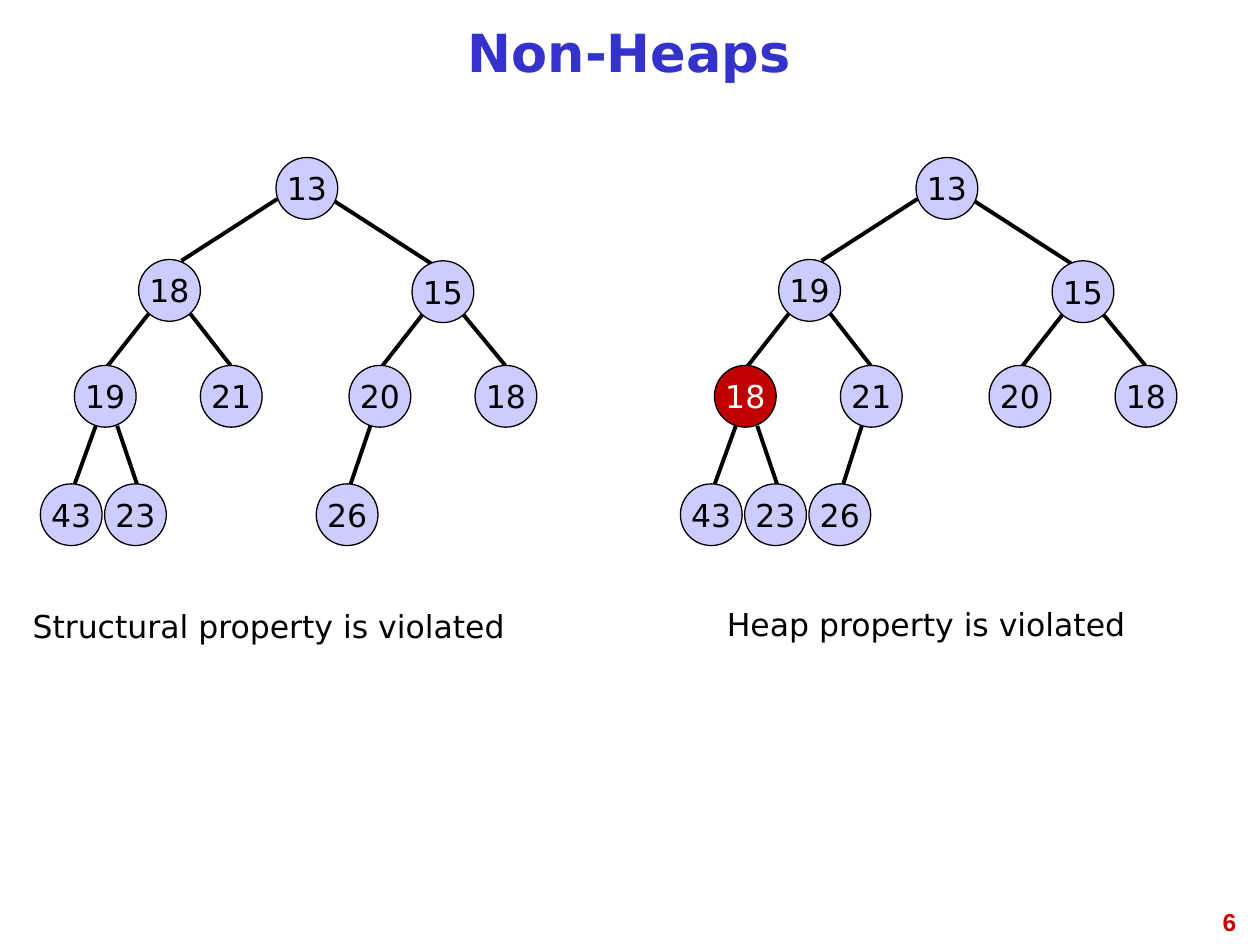
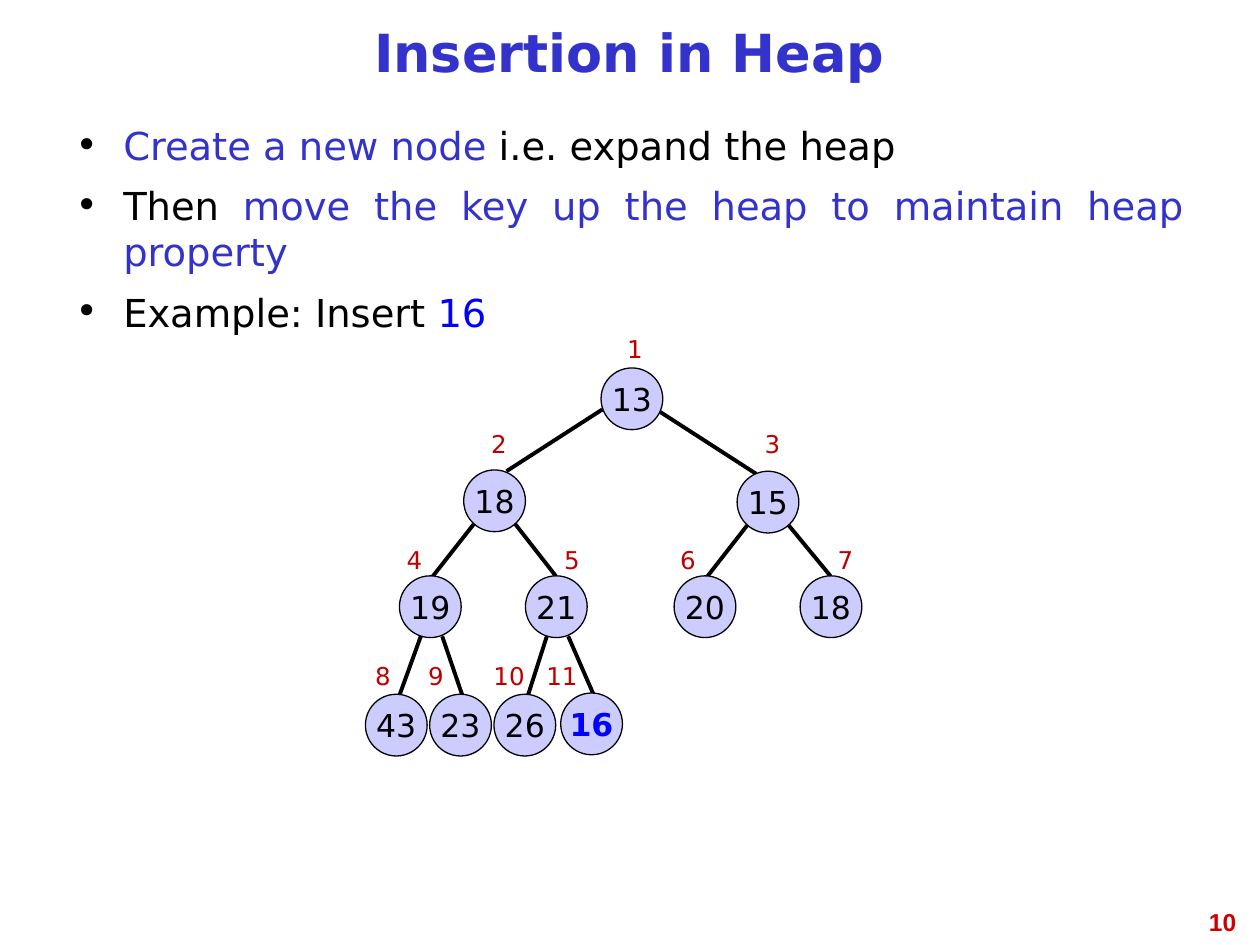
"""Build two slides on binary heaps: broken heaps and insertion."""
from lxml import etree
from pptx import Presentation
from pptx import util as u
from pptx.dml.color import RGBColor
from pptx.enum import shapes, text
from pptx.oxml import ns

COLOURS = {
    "title": "3333CC", "ink": "000000", "node": "CCCCFF", "new": "0000FF",
    "wrong": "C00000", "white": "FFFFFF", "number": "CC0000",
}
FONT = "DejaVu Sans"
NODE_SIZE = 0.49
LABEL_SIZE = 0.42

NODE_OFFSETS = {
    1: (0, 0), 2: (-1.09, 0.81), 3: (1.08, 0.82),
    4: (-1.6, 1.65), 5: (-0.6, 1.65), 6: (0.58, 1.65), 7: (1.58, 1.65),
    8: (-1.87, 2.59), 9: (-1.36, 2.59), 10: (-0.85, 2.59),
    11: (-0.32, 2.58), 12: (0.32, 2.59),
}
EDGE_ENDS = {
    (1, "left"): ((0.01, 0.33), (0.34, 0.01)),
    (1, "right"): ((0.47, 0.35), (0.15, 0.02)),
    (2, "left"): ((0.08, 0.43), (0.26, 0.01)),
    (2, "right"): ((0.41, 0.43), (0.24, 0)),
    (3, "left"): ((0.17, 0.48), (0.27, 0.01)),
    (3, "right"): ((0.34, 0.48), (0.26, 0.01)),
}
LABEL_LEFTS = [4.83, 3.75, 5.92, 3.08, 4.33, 5.25, 6.5, 2.83, 3.25, 3.83, 4.25]
LABEL_TOPS = [2.58, 3.33, 4.25, 5.17]


def colour(name):
    """Return the named colour."""
    return RGBColor.from_string(COLOURS[name])


def level(index):
    """Return the depth of a heap index, with the root at zero."""
    return index.bit_length() - 1


def shifted(point, offset):
    """Return the point moved by the offset."""
    return point[0] + offset[0], point[1] + offset[1]


class HeapDeck:
    """Hold the deck, its style and the current page."""

    def __init__(self):
        """Open an empty deck of 10 by 7.5 inches."""
        self.deck = Presentation()
        self.deck.slide_width = u.Inches(10)
        self.deck.slide_height = u.Inches(7.5)
        self.page = None

    def add_page(self, title, number):
        """Start a page with its title and number."""
        self.page = self.deck.slides.add_slide(self.deck.slide_layouts[6])
        self.add_text(7.58, 7.15, 2.33, 0.52, str(number), 14, "number",
                      bold=True, font="Arial", align=text.PP_ALIGN.RIGHT)
        self.add_text(0.5, 0.08, 8.99, 0.75, title, 30, "title", bold=True,
                      align=text.PP_ALIGN.CENTER, middle=True, spacing=0.81)

    def add_span(self, para, words, size, tint, bold=False, font=FONT):
        """Add one run to a paragraph."""
        span = para.add_run()
        span.text = words
        span.font.size = u.Pt(size)
        span.font.name = font
        span.font.bold = bold
        span.font.color.rgb = colour(tint)

    def add_box(self, left, top, width, height, wrap=True):
        """Add an empty text box and return its text frame."""
        box = self.page.shapes.add_textbox(*map(u.Inches, (left, top, width, height)))
        box.text_frame.word_wrap = wrap
        return box.text_frame

    def add_text(self, left, top, width, height, words, size, tint, bold=False,
                 font=FONT, align=None, middle=False, spacing=None, wrap=True,
                 side_margin=0.1):
        """Add a text box with one line of text."""
        frame = self.add_box(left, top, width, height, wrap)
        frame.margin_left = frame.margin_right = u.Inches(side_margin)
        if middle:
            frame.vertical_anchor = text.MSO_ANCHOR.MIDDLE
        para = frame.paragraphs[0]
        para.alignment = align
        para.line_spacing = spacing
        self.add_span(para, words, size, tint, bold, font)

    def add_bullets(self, left, top, width, height, items):
        """Add a justified bullet list, each item a list of (words, tint)."""
        frame = self.add_box(left, top, width, height)
        for position, item in enumerate(items):
            para = frame.add_paragraph() if position else frame.paragraphs[0]
            para.alignment = text.PP_ALIGN.JUSTIFY
            para.space_before = u.Pt(8)
            settings = para._p.get_or_add_pPr()
            settings.set("marL", str(u.Inches(0.38)))
            settings.set("indent", str(u.Inches(-0.38)))
            tint = etree.SubElement(settings, ns.qn("a:buClr"))
            etree.SubElement(tint, ns.qn("a:srgbClr"), val=COLOURS["ink"])
            etree.SubElement(settings, ns.qn("a:buFont"), typeface=FONT)
            etree.SubElement(settings, ns.qn("a:buChar"), char="•")
            for words, name in item:
                self.add_span(para, words, 22, name)

    def add_edge(self, start, end):
        """Draw a tree edge between two points."""
        edge = self.page.shapes.add_connector(
            shapes.MSO_CONNECTOR.STRAIGHT, *map(u.Inches, (*start, *end)))
        edge.line.color.rgb = colour("ink")
        edge.line.width = u.Pt(2.25)
        etree.SubElement(edge._element.spPr, ns.qn("a:effectLst"))

    def add_node(self, point, key, fill="node", tint="ink", bold=False):
        """Draw a round tree node holding its key."""
        node = self.page.shapes.add_shape(
            shapes.MSO_SHAPE.OVAL, *map(u.Inches, (*point, NODE_SIZE, NODE_SIZE)))
        node.shadow.inherit = False
        node.fill.solid()
        node.fill.fore_color.rgb = colour(fill)
        node.line.color.rgb = colour("ink")
        node.line.width = u.Pt(0.75)
        frame = node.text_frame
        frame.word_wrap = False
        frame.vertical_anchor = text.MSO_ANCHOR.MIDDLE
        para = frame.paragraphs[0]
        para.alignment = text.PP_ALIGN.CENTER
        self.add_span(para, str(key), 18, tint, bold)

    def add_tree(self, root, keys, styles):
        """Draw a heap from keys by index, with special node styles by index."""
        points = {index: shifted(root, NODE_OFFSETS[index]) for index in keys}
        for index in keys:
            if index > 1:
                side = "right" if index % 2 else "left"
                start, end = EDGE_ENDS[level(index), side]
                self.add_edge(shifted(points[index // 2], start),
                              shifted(points[index], end))
        for index, key in keys.items():
            self.add_node(points[index], key, **styles.get(index, {}))

    def add_labels(self):
        """Write the heap indices beside the nodes."""
        for index, left in enumerate(LABEL_LEFTS, 1):
            self.add_text(left, LABEL_TOPS[level(index)], LABEL_SIZE, LABEL_SIZE,
                          str(index), 14, "wrong", middle=True, spacing=0.81,
                          align=text.PP_ALIGN.CENTER, wrap=False, side_margin=0)


def main():
    """Build and save the deck."""
    heap = {1: 13, 2: 18, 3: 15, 4: 19, 5: 21, 6: 20, 7: 18, 8: 43, 9: 23}
    show = HeapDeck()

    show.add_page("Non-Heaps", 6)
    show.add_tree((2.19, 1.25), {**heap, 12: 26}, {})
    show.add_tree((7.27, 1.25), {**heap, 2: 19, 4: 18, 10: 26},
                  {4: {"fill": "wrong", "tint": "white"}})
    show.add_text(0.16, 4.77, 4.01, 0.4, "Structural property is violated",
                  18, "ink", wrap=False)
    show.add_text(5.67, 4.75, 3.4, 0.4, "Heap property is violated",
                  18, "ink", wrap=False)

    show.add_page("Insertion in Heap", 10)
    show.add_bullets(0.5, 0.92, 8.99, 1.75, [
        [("Create a new node ", "title"), ("i.e. expand the heap", "ink")],
        [("Then ", "ink"),
         ("move the key up the heap to maintain heap property", "title")],
        [("Example: Insert ", "ink"), ("16", "new")],
    ])
    show.add_tree((4.77, 2.92), {**heap, 10: 26, 11: 16},
                  {11: {"tint": "new", "bold": True}})
    show.add_labels()
    show.deck.save("out.pptx")


if __name__ == "__main__":
    main()
